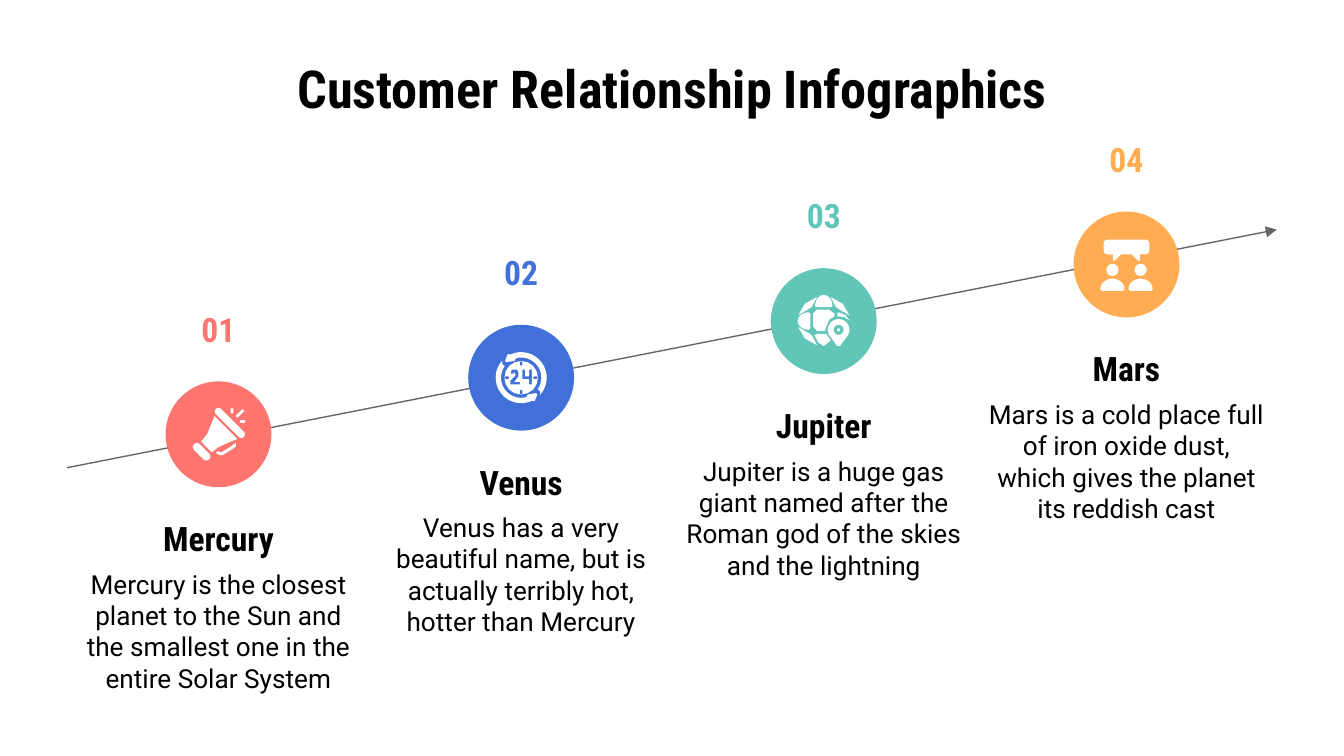
from dataclasses import dataclass
from math import cos, radians, sin, atan2, degrees

from lxml import etree
from pptx import Presentation
from pptx.dml.color import RGBColor
from pptx.enum.shapes import MSO_CONNECTOR, MSO_SHAPE
from pptx.enum.text import MSO_ANCHOR, PP_ALIGN
from pptx.oxml.ns import qn
from pptx.util import Cm, Pt

STRAIGHT = MSO_CONNECTOR.STRAIGHT
OVAL = MSO_SHAPE.OVAL
MIDDLE = MSO_ANCHOR.MIDDLE
CENTER = PP_ALIGN.CENTER

COLORS = {
    "coral": "FE7570", "blue": "4170D8", "teal": "61C5B8", "orange": "FFAC53",
    "line": "666666", "text": "000000", "icon": "FFFFFF",
}
HEADING_FONT, BODY_FONT = "Roboto Condensed", "Roboto"

# All lengths below are centimetres, except icon outlines.
MARGIN, COLUMN_WIDTH = 1.27, 5.72
FIRST_CENTER_Y, RISE = 8.21, 1.07
DIAMETER = 2.0
LABEL_WIDTH, LABEL_HEIGHT = 4.6, 0.91
ICON_UNIT = 0.0254

Point = tuple[float, float]
Contour = list[Point]
Part = list[Contour]


@dataclass
class Step:
    number: str
    name: str
    description: str
    color: str
    icon: list[Part]


def arc(x: float, y: float, rx: float, ry: float, start: float, end: float) -> Contour:
    """Points along an ellipse, angles in degrees, clockwise from the right."""
    count = 16
    angles = [radians(start + (end - start) * i / count) for i in range(count + 1)]
    return [(x + rx * cos(angle), y + ry * sin(angle)) for angle in angles]


def circle(x: float, y: float, radius: float) -> Contour:
    return arc(x, y, radius, radius, 0, 360)


def capsule(x1: float, y1: float, x2: float, y2: float, radius: float) -> Contour:
    """A thick line with round ends."""
    angle = degrees(atan2(y2 - y1, x2 - x1))
    return (arc(x1, y1, radius, radius, angle + 90, angle + 270)
            + arc(x2, y2, radius, radius, angle - 90, angle + 90))


def flip(contour: Contour, sign_x: int, sign_y: int) -> Contour:
    return [(x * sign_x, y * sign_y) for x, y in contour]


def megaphone_icon() -> list[Part]:
    horn = [(-3, -13.5), (-5, -8.5), (-8.5, 0), (-13, 5.5), (-5, 13.5), (0, 9.5),
            (9, 5.5), (14, 3.5)]
    handle = [(13, 6.5), (11, 7.5), (10, 8.5), (2, 13.5), (0, 12.5), (-2, 13.5),
              (-1, 14.5), (1, 15.5), (3, 15.5), (11, 10.5), (13, 9)]
    rim, tail = capsule(0, -17, 17, 0, 2.7), capsule(-16, 9.5, -9, 16.5, 3)
    sparks = [capsule(18, -17.5, 14, -13.5, 1), capsule(10, -18.5, 10, -16.5, 1),
              capsule(17, -9.5, 19, -9.5, 1)]
    return [[contour] for contour in (horn, handle, rim, tail, *sparks)]


def clock_icon() -> list[Part]:
    two = [(-8, -3), (-7, -6), (-3, -6), (-2, -4), (-2, -1), (-5, 3), (-1, 3),
           (-1, 5), (-8, 5), (-8, 2), (-4, -2), (-5, -4), (-6, -3)]
    four = [(1, -6), (3, -6), (3, -1), (6, -1), (6, -6), (8, -6), (8, 5), (6, 5),
            (6, 1), (1, 1)]
    ticks = [capsule(x * 10, y * 10, x * 11.3, y * 11.3, 1)
             for x, y in ((0, -1), (1, 0), (0, 1), (-1, 0))]
    arrow = (arc(0, 0, 19, 19, -115, 42) + [(14, 10), (12, 8.5)]
             + arc(0, 0, 15, 15, 35, -105)
             + [(-5, -12.5), (-11, -11.5), (-12, -12.5), (-10, -17.5)])
    return [[circle(0, 0, 12.5), two, four, *ticks], [arrow], [flip(arrow, -1, -1)]]


def globe_icon() -> list[Part]:
    top = arc(0, -11, 6.5, 8.5, 180, 360) + [(5, -10.5), (-5, -10.5)]
    left = arc(-11, 0, 8.5, 6.5, 90, 270) + [(-10, -5), (-10, 5)]
    right = [(11, -6.5), (16, -4.5), (19, -0.5), (15, -3), (10, -3.5), (10, -5.5)]
    bottom = [(-5, 9.5), (-7, 10.5), (-4, 16), (0, 18.5), (5, 14.5), (2, 9.5)]
    middle = [(-5, -8.5), (4, -8.5), (8, -5.5), (8, -3.5), (4, -1), (1, 6.5),
              (1, 7.5), (-5, 7.5), (-8, 4), (-8, -5.5)]
    corner = [(-19, 4.5), (-12, 8.5), (-9, 10.5), (-5, 18), (-14, 13)]
    corners = [flip(corner, *signs) for signs in ((1, 1), (1, -1), (-1, -1))]
    pin = arc(11, 6.5, 8, 8, 145, 395) + [(12, 18.5), (10, 18.5)]
    outlines = [top, left, right, bottom, middle, *corners, circle(11, 6.5, 1.2)]
    return [[contour] for contour in outlines] + [[pin, circle(11, 6.5, 3.7)]]


def meeting_icon() -> list[Part]:
    tail = [(10, -7.5), (10, -3), (9, -2.5), (4, -7.5)]
    bubble = (arc(-14, -15.5, 3, 3, 180, 270) + arc(14, -15.5, 3, 3, 270, 360)
              + arc(14, -10.5, 3, 3, 0, 90) + tail + flip(tail[::-1], -1, 1)
              + arc(-14, -10.5, 3, 3, 90, 180))
    parts = [[bubble]]
    for x in (-10.5, 10.5):
        body = arc(x, 18.5, 9, 8, 180, 360) + [(x + 8, 19.5), (x - 8, 19.5)]
        parts += [[circle(x, 4, 4.5)], [body]]
    return parts


STEPS = [
    Step("01", "Mercury", "Mercury is the closest planet to the Sun and the smallest one "
         "in the entire Solar System", "coral", megaphone_icon()),
    Step("02", "Venus", "Venus has a very beautiful name, but is actually terribly hot, "
         "hotter than Mercury", "blue", clock_icon()),
    Step("03", "Jupiter", "Jupiter is a huge gas giant named after the Roman god of the "
         "skies and the lightning", "teal", globe_icon()),
    Step("04", "Mars", "Mars is a cold place full of iron oxide dust, which gives the "
         "planet its reddish cast", "orange", meeting_icon()),
]


def rgb(color: str) -> RGBColor:
    return RGBColor.from_string(COLORS[color])


def fill_plain(shape, color: str) -> None:
    shape.shadow.inherit = False
    shape.fill.solid()
    shape.fill.fore_color.rgb = rgb(color)
    shape.line.fill.background()


def add_text(slide, text: str, left: float, top: float, width: float, height: float,
             size: int, font: str = HEADING_FONT, color: str = "text") -> None:
    box = slide.shapes.add_textbox(Cm(left), Cm(top), Cm(width), Cm(height))
    frame = box.text_frame
    frame.word_wrap = True
    frame.vertical_anchor = MIDDLE
    frame.margin_left = frame.margin_right = Cm(0.25)
    frame.margin_top = frame.margin_bottom = Cm(0.25)
    frame.text = text
    paragraph = frame.paragraphs[0]
    paragraph.alignment = CENTER
    run_font = paragraph.runs[0].font
    run_font.name, run_font.size = font, Pt(size)
    run_font.bold = font == HEADING_FONT
    run_font.color.rgb = rgb(color)


def add_trend_arrow(slide) -> None:
    arrow = slide.shapes.add_connector(STRAIGHT, Cm(MARGIN), Cm(8.84), Cm(24.13), Cm(4.34))
    arrow.line.color.rgb = rgb("line")
    arrow.line.width = Pt(0.75)
    etree.SubElement(arrow.line._get_or_add_ln(), qn("a:tailEnd"), type="triangle")
    etree.SubElement(arrow._element.spPr, qn("a:effectLst"))


def add_icon(slide, icon: list[Part], center_x: float, center_y: float) -> None:
    for part in icon:
        contours = [[(Cm(center_x + x * ICON_UNIT), Cm(center_y + y * ICON_UNIT))
                     for x, y in contour] for contour in part]
        builder = slide.shapes.build_freeform(*contours[0][0])
        for contour in contours:
            if contour is not contours[0]:
                builder.move_to(*contour[0])
            builder.add_line_segments(contour[1:], close=True)
        fill_plain(builder.convert_to_shape(), "icon")


def add_step(slide, step: Step, index: int) -> None:
    left = MARGIN + index * COLUMN_WIDTH
    x, y = left + COLUMN_WIDTH / 2, FIRST_CENTER_Y - index * RISE
    disc = slide.shapes.add_shape(OVAL, Cm(x - DIAMETER / 2), Cm(y - DIAMETER / 2),
                                  Cm(DIAMETER), Cm(DIAMETER))
    fill_plain(disc, step.color)
    add_icon(slide, step.icon, x, y)
    label_left = x - LABEL_WIDTH / 2
    add_text(slide, step.number, label_left, y - 2.45, LABEL_WIDTH, LABEL_HEIGHT, 18,
             color=step.color)
    add_text(slide, step.name, label_left, y + 1.51, LABEL_WIDTH, LABEL_HEIGHT, 18)
    add_text(slide, step.description, left, y + 2.46, COLUMN_WIDTH, 2.51, 14, BODY_FONT)


def main() -> None:
    presentation = Presentation()
    presentation.slide_width, presentation.slide_height = Cm(25.4), Cm(14.29)
    slide = presentation.slides.add_slide(presentation.slide_layouts[6])
    add_trend_arrow(slide)
    add_text(slide, "Customer Relationship Infographics", MARGIN, 1.14, 22.86, 1.04, 28)
    for index, step in enumerate(STEPS):
        add_step(slide, step, index)
    presentation.save("out.pptx")


if __name__ == "__main__":
    main()
